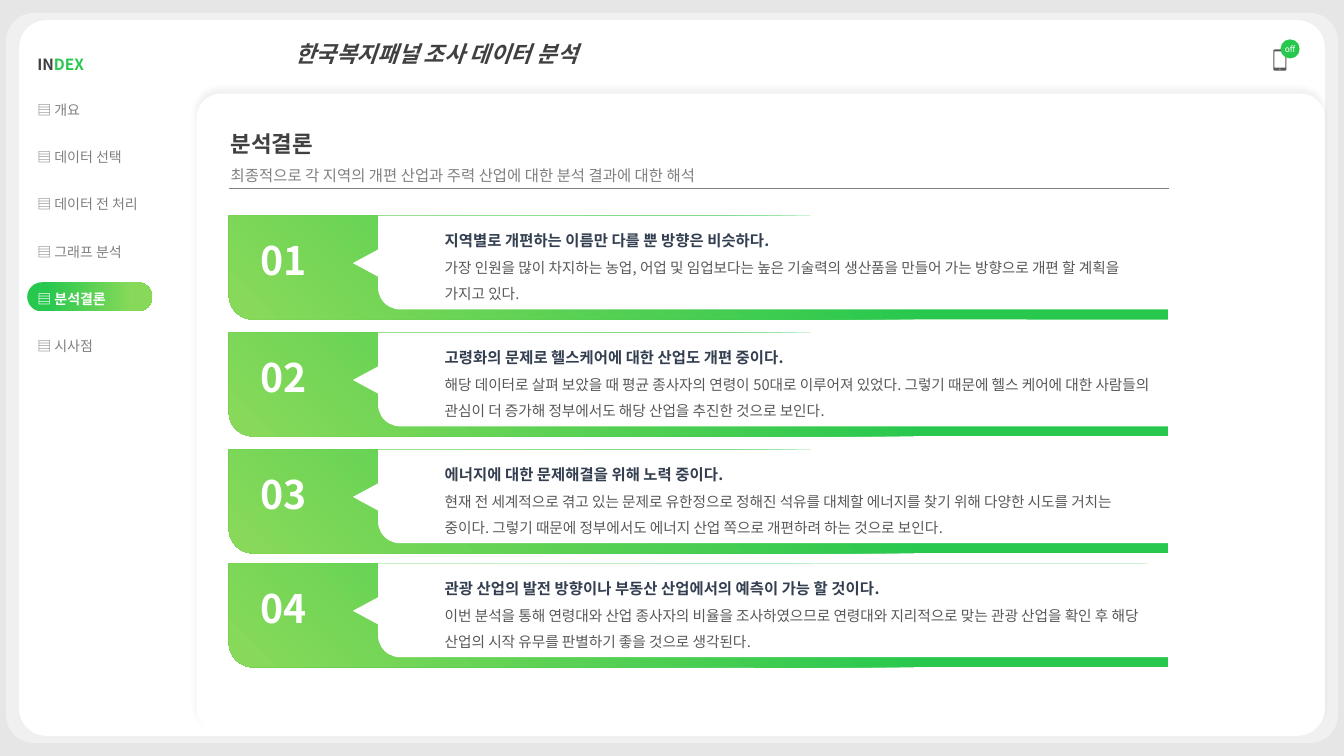
from pptx import Presentation
from pptx.dml.color import RGBColor
from pptx.enum.shapes import MSO_CONNECTOR, MSO_SHAPE
from pptx.enum.text import MSO_ANCHOR, MSO_AUTO_SIZE, PP_ALIGN
from pptx.oxml import parse_xml
from pptx.oxml.ns import nsdecls, qn
from pptx.oxml.xmlchemy import OxmlElement
from pptx.util import Inches, Pt

FONT = "Noto Sans CJK KR"
BACK = RGBColor(0xE7, 0xE6, 0xE6)
WHITE = RGBColor(0xFF, 0xFF, 0xFF)
GREEN = RGBColor(0x28, 0xC8, 0x4E)
LIME = RGBColor(0x88, 0xD9, 0x59)
DARK = RGBColor(0x40, 0x40, 0x40)
GRAY = RGBColor(0x80, 0x80, 0x80)
SLATE = RGBColor(0x59, 0x59, 0x59)
NAVY = RGBColor(0x33, 0x3F, 0x50)
PLAIN = "{2D5ABB26-0587-4C30-8999-92F81FD0307C}"

MENU = ["개요", "데이터 선택", "데이터 전 처리", "그래프 분석", "분석결론", "시사점"]
ACTIVE = "분석결론"
CARDS = [
    (2.14, "지역별로 개편하는 이름만 다를 뿐 방향은 비슷하다.",
     "가장 인원을 많이 차지하는 농업, 어업 및 임업보다는 높은 기술력의 생산품을 "
     "만들어 가는 방향으로 개편 할 계획을 가지고 있다."),
    (3.3, "고령화의 문제로 헬스케어에 대한 산업도 개편 중이다.",
     "해당 데이터로 살펴 보았을 때 평균 종사자의 연령이 50대로 이루어져 있었다. "
     "그렇기 때문에 헬스 케어에 대한 사람들의 관심이 더 증가해 정부에서도 해당 산업을 "
     "추진한 것으로 보인다."),
    (4.46, "에너지에 대한 문제해결을 위해 노력 중이다.",
     "현재 전 세계적으로 겪고 있는 문제로 유한정으로 정해진 석유를 대체할 에너지를 찾기 "
     "위해 다양한 시도를 거치는 중이다. 그렇기 때문에 정부에서도 에너지 산업 쪽으로 "
     "개편하려 하는 것으로 보인다."),
    (5.59, "관광 산업의 발전 방향이나 부동산 산업에서의 예측이 가능 할 것이다.",
     "이번 분석을 통해 연령대와 산업 종사자의 비율을 조사하였으므로 연령대와 지리적으로 "
     "맞는 관광 산업을 확인 후 해당 산업의 시작 유무를 판별하기 좋을 것으로 생각된다."),
]


def add_run(para, text, size, color, bold=False, italic=False):
    """Add one styled run to a paragraph."""
    run = para.add_run()
    run.text = text
    font = run.font
    font.size, font.bold, font.italic = Pt(size), bold, italic
    font.name = FONT
    font.color.rgb = color
    east = OxmlElement("a:ea")
    east.set("typeface", FONT)
    font.element.append(east) if hasattr(font, "element") else run._r.get_or_add_rPr().append(east)


def add_line(frame, runs, first=False, align=PP_ALIGN.LEFT, space=None, indent=0):
    """Add one paragraph made of the given runs."""
    para = frame.paragraphs[0] if first else frame.add_paragraph()
    para.alignment = align
    if space:
        para.line_spacing = space
    if indent:
        para.level = 1
        props = para._p.get_or_add_pPr()
        props.set("marL", str(Inches(indent)))
        props.set("indent", "0")
    for run in runs:
        add_run(para, *run)


def set_inset(frame, left, top, right, bottom):
    """Set the four margins of a text frame."""
    frame.margin_left, frame.margin_top = Inches(left), Inches(top)
    frame.margin_right, frame.margin_bottom = Inches(right), Inches(bottom)


def add_box(shapes, kind, box, color, adjust=(), flip=False):
    """Add a borderless preset shape with a solid fill or a gradient."""
    shape = shapes.add_shape(kind, *map(Inches, box))
    shape.shadow.inherit = False
    shape.line.fill.background()
    for i, value in enumerate(adjust):
        shape.adjustments[i] = value
    if flip:
        shape.element.spPr.find(qn("a:xfrm")).set("flipH", "1")
    shape.text_frame.vertical_anchor = MSO_ANCHOR.MIDDLE
    if isinstance(color, RGBColor):
        shape.fill.solid()
        shape.fill.fore_color.rgb = color
    else:
        start, end, angle = color
        shape.fill.gradient()
        shape.fill.gradient_angle = -angle % 360
        for stop, place, tint in zip(shape.fill.gradient_stops, (start, end), (GREEN, LIME)):
            stop.position = place
            stop.color.rgb = tint
    return shape


def add_shadow(shape, color, alpha, blur=0, dist=0, angle=0, scale=100):
    """Give a shape an outer shadow."""
    effects = shape.element.spPr.find(qn("a:effectLst"))
    effects.append(parse_xml(
        f'<a:outerShdw {nsdecls("a")} blurRad="{Pt(blur)}" dist="{Pt(dist)}" '
        f'dir="{angle * 60000}" sx="{scale * 1000}" sy="{scale * 1000}" algn="ctr" '
        f'rotWithShape="0"><a:srgbClr val="{color}"><a:alpha val="{alpha * 1000}"/>'
        f'</a:srgbClr></a:outerShdw>'))


def add_text(shapes, box, wrap=True):
    """Add a text box and return its frame."""
    frame = shapes.add_textbox(*map(Inches, box)).text_frame
    frame.word_wrap = wrap
    frame.auto_size = MSO_AUTO_SIZE.SHAPE_TO_FIT_TEXT
    return frame


def add_phone(shapes):
    """Draw the phone with its screen and button cut out."""
    rings = [(12.63, 0.49, 0.13, 0.21, 0.01), (12.64, 0.51, 0.11, 0.16, 0),
             (12.69, 0.68, 0.01, 0.01, 0)]
    pen = None
    for left, top, width, height, cut in rings:
        right, low = left + width, top + height
        dots = [(left + cut, top), (right - cut, top), (right, top + cut),
                (right, low - cut), (right - cut, low), (left + cut, low),
                (left, low - cut), (left, top + cut)]
        dots = [(Inches(x), Inches(y)) for x, y in dots]
        if pen:
            pen.move_to(*dots[0])
        else:
            pen = shapes.build_freeform(*dots[0])
        pen.add_line_segments(dots[1:], close=True)
    phone = pen.convert_to_shape()
    phone.shadow.inherit = False
    phone.fill.solid()
    phone.fill.fore_color.rgb = SLATE
    phone.line.fill.background()


def add_rule(shapes):
    """Draw the line under the heading."""
    rule = shapes.add_connector(MSO_CONNECTOR.STRAIGHT, *map(Inches, (2.27, 1.87, 11.59, 1.87)))
    rule.line.color.rgb = GRAY
    rule.line.width = Pt(1)
    rule.element.spPr.append(OxmlElement("a:effectLst"))


def add_menu(shapes):
    """Add the index table."""
    count = 9
    holder = shapes.add_table(count, 1, *map(Inches, (0.27, 0.34, 1.6, 4.2)))
    table = holder.table
    table.first_row = table.horz_banding = False
    for style in holder.element.iter(qn("a:tableStyleId")):
        style.text = PLAIN
    rows = [[("IN", 11, DARK, True), ("DEX", 11, GREEN, True)]]
    for name in MENU:
        live = name == ACTIVE
        rows.append([("▤ " + name, 10, WHITE if live else GRAY, live)])
    for i in range(count):
        cell = table.cell(i, 0)
        cell.fill.background()
        cell.vertical_anchor = MSO_ANCHOR.MIDDLE
        if i < len(rows):
            add_line(cell.text_frame, rows[i], first=True, space=1.5)


def add_card(shapes, num, top, head, body):
    """Add one numbered conclusion."""
    parts = shapes.add_group_shape().shapes
    kind = MSO_SHAPE.ROUND_2_DIAG_RECTANGLE
    base = add_box(parts, kind, (2.27, top, 9.32, 1.03), (0.33, 0.98, 45), (0.234, 0), True)
    set_inset(base.text_frame, 0.24, 0.05, 0.1, 0.2)
    add_line(base.text_frame, [(f"{num:02}", 28, WHITE, True)], first=True)
    panel = add_box(parts, kind, (3.75, top, 7.84, 0.93), WHITE, (0.234, 0), True)
    add_line(panel.text_frame, [(head, 11, NAVY, True)], first=True, space=1.5, indent=0.5)
    add_line(panel.text_frame, [(body, 10.5, SLATE)], space=1.5, indent=0.5)
    notch = add_box(parts, MSO_SHAPE.ISOSCELES_TRIANGLE, (3.49, top + 0.34, 0.28, 0.26),
                    WHITE, flip=True)
    notch.rotation = 270


def main():
    """Build the slide and save it."""
    deck = Presentation()
    deck.slide_width, deck.slide_height = Inches(13.33), Inches(7.5)
    slide = deck.slides.add_slide(deck.slide_layouts[6])
    slide.background.fill.solid()
    slide.background.fill.fore_color.rgb = BACK
    shapes = slide.shapes
    round_box = MSO_SHAPE.ROUNDED_RECTANGLE

    frame = add_box(shapes, round_box, (0.19, 0.2, 12.95, 7.1), WHITE, [0.038])
    add_shadow(frame, WHITE, 40, scale=102)
    add_box(shapes, round_box, (0.27, 2.8, 1.24, 0.29), (0.16, 0.84, 0), [0.5])
    title = add_text(shapes, (2.65, 0.35, 3.36, 0.37), wrap=False)
    add_line(title, [("한국복지패널 조사 데이터 분석", 16, DARK, True, True)],
             first=True, align=PP_ALIGN.CENTER)
    add_phone(shapes)
    badge = add_box(shapes, MSO_SHAPE.OVAL, (12.7, 0.39, 0.19, 0.19), GREEN).text_frame
    badge.word_wrap = False
    set_inset(badge, 0.04, 0.04, 0.04, 0.04)
    add_line(badge, [("off", 6, WHITE)], first=True, align=PP_ALIGN.CENTER)
    page = add_box(shapes, round_box, (1.95, 0.93, 11.19, 6.34), WHITE, [0.038])
    add_shadow(page, "000000", 5, 4, 3, 270)

    add_rule(shapes)
    intro = add_text(shapes, (2.19, 1.11, 9.4, 0.75))
    add_line(intro, [("분석결론", 16, DARK, True)], first=True, space=1.5)
    add_line(intro, [("최종적으로 각 지역의 개편 산업과 주력 산업에 대한 분석 결과에 대한 해석", 11, GRAY)],
             space=1.5)
    add_menu(shapes)
    for num, card in enumerate(CARDS, 1):
        add_card(shapes, num, *card)
    deck.save("out.pptx")


if __name__ == "__main__":
    main()
